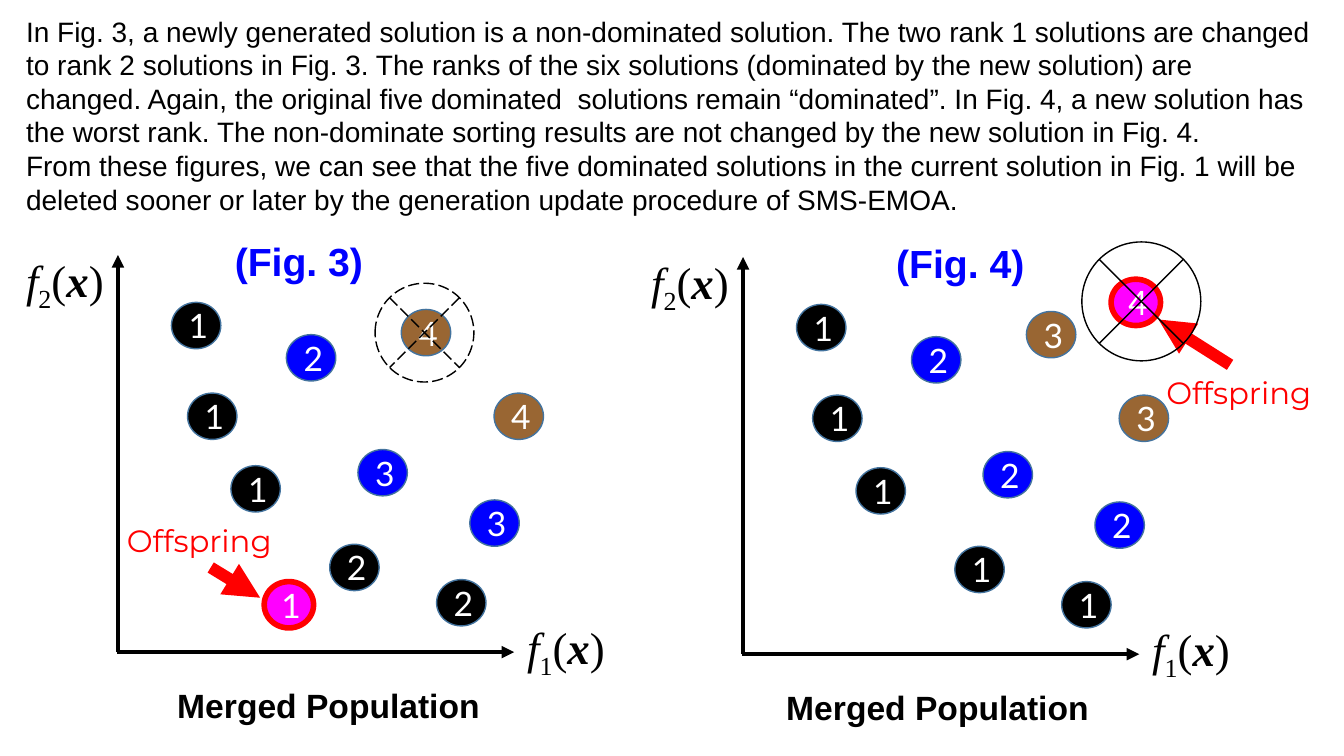
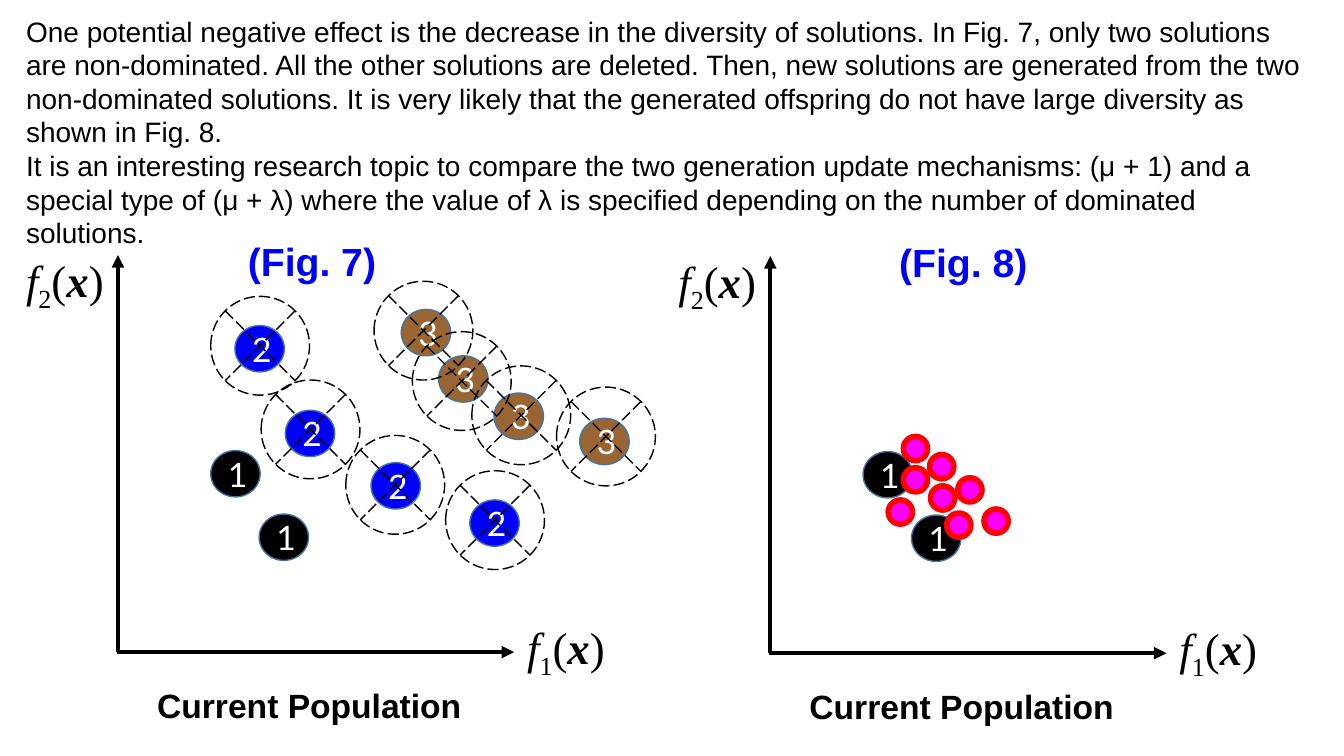
import dataclasses

import pptx
import pptx.dml.color
import pptx.enum.dml
import pptx.enum.shapes
import pptx.enum.text
import pptx.util
from pptx.util import Inches

SHAPES = pptx.enum.shapes.MSO_SHAPE


@dataclasses.dataclass(frozen=True)
class Theme:
    black: str = "000000"
    white: str = "FFFFFF"
    blue: str = "0000FF"
    brown: str = "996633"
    outline: str = "43739E"
    magenta: str = "FF00FF"
    red: str = "FF0000"
    body: str = "Arial"
    digits: str = "Lato"
    label: str = "Montserrat"
    maths: str = "Times New Roman"
    body_size: int = 20
    label_size: int = 22
    caption_size: int = 24
    figure_size: int = 28
    maths_size: int = 32


THEME = Theme()
DOT = (0.49, 0.46)
SMALL_DOT = (0.24, 0.24)
CROSS = 0.98

# Content: every figure uses the coordinates of the left-hand panel,
# and "shift" moves it to its own place. Dots are (left, top, rank).
MERGED_PLACES = {
    THEME.black: [(1.7, 3), (1.86, 3.9), (2.29, 4.62), (3.27, 5.4), (4.33, 5.75)],
    THEME.blue: [(2.84, 3.32), (3.55, 4.46), (4.66, 4.96)],
    THEME.brown: [(3.98, 3.07), (4.9, 3.9)],
}


def merged(**ranks):
    return {color: [(*place, rank) for place, rank in zip(places, ranks[name])]
            for name, (color, places) in zip(("black", "blue", "brown"),
                                             MERGED_PLACES.items())}


CURRENT_FRONT = [(2.09, 4.47, "1"), (2.57, 5.1, "1")]

SLIDES = [
    {
        "intro": [
            "In Fig. 3, a newly generated solution is a non-dominated solution. "
            "The two rank 1 solutions are changed to rank 2 solutions in Fig. 3. "
            "The ranks of the six solutions (dominated by the new solution) are "
            "changed. Again, the original five dominated  solutions remain "
            "“dominated”. In Fig. 4, a new solution has the worst rank. The "
            "non-dominate sorting results are not changed by the new solution "
            "in Fig. 4.",
            "From these figures, we can see that the five dominated solutions in "
            "the current solution in Fig. 1 will be deleted sooner or later by "
            "the generation update procedure of SMS-EMOA.",
        ],
        "figures": [
            {
                "shift": (0, 0),
                "title": ("(Fig. 3)", 2.23),
                "caption": ("Merged Population", 1.66, 3.23),
                "dots": merged(black="11122", blue="233", brown="44"),
                "offspring": (2.62, 5.77, "1"),
                "offspring_label": (1.16, 5.13),
                "arrow": (2.09, 5.63, 2.58, 5.93),
                "crosses": [(3.72, 2.81)],
            },
            {
                "shift": (6.2, 0.02),
                "title": ("(Fig. 4)", 2.59),
                "caption": ("Merged Population", 1.5, 3.23),
                "dots": merged(black="11111", blue="222", brown="33"),
                "offspring": (4.82, 2.75, "4"),
                "offspring_label": (5.27, 3.64),
                "arrow": (6, 3.6, 5.29, 3.15),
                "crosses": [(4.53, 2.38)],
                "cross_size": 1.18,
                "cross_dashed": False,
            },
        ],
    },
    {
        "intro": [
            "One potential negative effect is the decrease in the diversity of "
            "solutions. In Fig. 7, only two solutions are non-dominated. All the "
            "other solutions are deleted. Then, new solutions are generated from "
            "the two non-dominated solutions. It is very likely that the "
            "generated offspring do not have large diversity as shown in Fig. 8.",
            "It is an interesting research topic to compare the two generation "
            "update mechanisms: (μ + 1) and a special type of (μ + λ) where the "
            "value of λ is specified depending on the number of dominated "
            "solutions.",
        ],
        "figures": [
            {
                "shift": (0, 0),
                "title": ("(Fig. 7)", 2.36),
                "caption": ("Current Population", 1.46, 3.25),
                "dots": {
                    THEME.black: CURRENT_FRONT,
                    THEME.blue: [(2.33, 3.23, "2"), (2.83, 4.07, "2"),
                                 (3.68, 4.59, "2"), (4.66, 4.96, "2")],
                    THEME.brown: [(3.98, 3.07, "3"), (4.9, 3.9, "3"),
                                  (5.75, 4.15, "3"), (4.35, 3.53, "3")],
                },
                "crosses": [(2.09, 2.94), (2.59, 3.77), (3.43, 4.32), (4.42, 4.67),
                            (5.52, 3.84), (4.68, 3.63), (4.09, 3.29), (3.71, 2.79)],
            },
            {
                "shift": (6.47, 0.01),
                "title": ("(Fig. 8)", 2.35),
                "caption": ("Current Population", 1.46, 3.25),
                "dots": {THEME.black: CURRENT_FRONT},
                "small_dots": [(2.49, 4.63), (2.92, 5.08), (2.34, 4.95), (2.76, 4.81),
                               (2.49, 4.32), (2.75, 4.5), (3.03, 4.73), (3.29, 5.04)],
            },
        ],
    },
]


def rgb(color):
    return pptx.dml.color.RGBColor.from_string(color)


def write(frame, paragraphs, *, font, size, color, bold=False, align=None):
    """Fill a frame; a paragraph is a string or a list of (text, styles)."""
    for number, content in enumerate(paragraphs):
        para = frame.paragraphs[0] if number == 0 else frame.add_paragraph()
        para.alignment = align
        for text, styles in [(content, "")] if isinstance(content, str) else content:
            span = para.add_run()
            span.text = text
            span.font.name = font
            span.font.size = pptx.util.Pt(size)
            span.font.color.rgb = rgb(color)
            span.font.bold = bold or "bold" in styles
            span.font.italic = "italic" in styles
            if "sub" in styles:
                span._r.get_or_add_rPr().set("baseline", "-25000")


def add_text(page, place, paragraphs, wrap=False, **style):
    box = page.shapes.add_textbox(*map(Inches, place))
    box.text_frame.word_wrap = wrap
    box.text_frame.auto_size = pptx.enum.text.MSO_AUTO_SIZE.SHAPE_TO_FIT_TEXT
    write(box.text_frame, paragraphs, **style)


def add_arrow(page, ends, color, width):
    arrow = page.shapes.add_connector(
        pptx.enum.shapes.MSO_CONNECTOR.STRAIGHT, *map(Inches, ends))
    arrow.line.color.rgb = rgb(color)
    arrow.line.width = pptx.util.Pt(width)
    line = arrow.line._get_or_add_ln()
    line.append(line.makeelement(pptx.oxml.ns.qn("a:tailEnd"), {"type": "triangle"}))
    properties = arrow._element.spPr
    properties.append(properties.makeelement(pptx.oxml.ns.qn("a:effectLst"), {}))


def add_outlined(page, kind, place, fill, line, width):
    shape = page.shapes.add_shape(kind, *map(Inches, place))
    shape.shadow.inherit = False
    if fill:
        shape.fill.solid()
        shape.fill.fore_color.rgb = rgb(fill)
    else:
        shape.fill.background()
    shape.line.color.rgb = rgb(line)
    shape.line.width = pptx.util.Pt(width)
    return shape


def add_dot(page, place, rank, fill, line=THEME.outline, width=1):
    dot = add_outlined(page, SHAPES.OVAL, (*place, *DOT), fill, line, width)
    dot.text_frame.vertical_anchor = pptx.enum.text.MSO_ANCHOR.MIDDLE
    write(dot.text_frame, [rank], font=THEME.digits, size=THEME.caption_size,
          color=THEME.white, align=pptx.enum.text.PP_ALIGN.CENTER)


def add_figure(page, figure):
    right, down = figure["shift"]

    def at(left, top):
        return left + right, top + down

    # Axes and their labels
    add_arrow(page, (*at(1.17, 6.47), *at(1.17, 2.53)), THEME.black, 3)
    add_arrow(page, (*at(1.16, 6.47), *at(5.1, 6.47)), THEME.black, 3)
    for index, left, top in (("2", 0.16, 2.46), ("1", 5.13, 6.1)):
        formula = [("f", "italic"), (index, "sub"), ("(", ""),
                   ("x", "bold italic"), (")", "")]
        add_text(page, (*at(left, top), 1, 0.64), [formula], font=THEME.maths,
                 size=THEME.maths_size, color=THEME.black)

    # Title and caption
    title, left = figure["title"]
    add_text(page, (*at(left, 2.31), 1.49, 0.57), [title], font=THEME.body,
             size=THEME.figure_size, color=THEME.blue, bold=True)
    caption, left, width = figure["caption"]
    add_text(page, (*at(left, 6.75), width, 0.5), [caption], font=THEME.body,
             size=THEME.caption_size, color=THEME.black, bold=True)

    # Ranked solutions
    for color, dots in figure["dots"].items():
        for left, top, rank in dots:
            add_dot(page, at(left, top), rank, color)

    # Offspring
    if "offspring" in figure:
        left, top, rank = figure["offspring"]
        add_dot(page, at(left, top), rank, THEME.magenta, THEME.red, 4)
        add_text(page, (*at(*figure["offspring_label"]), 1.75, 0.47), ["Offspring"],
                 font=THEME.label, size=THEME.label_size, color=THEME.red)
        arrow = figure["arrow"]
        add_arrow(page, (*at(*arrow[:2]), *at(*arrow[2:])), THEME.red, 8.5)
    for place in figure.get("small_dots", []):
        add_outlined(page, SHAPES.OVAL, (*at(*place), *SMALL_DOT),
                     THEME.magenta, THEME.red, 4)

    # Crosses over the deleted solutions
    size = figure.get("cross_size", CROSS)
    for place in figure.get("crosses", []):
        cross = add_outlined(page, SHAPES.FLOWCHART_SUMMING_JUNCTION,
                             (*at(*place), size, size), None, THEME.black, 1)
        if figure.get("cross_dashed", True):
            cross.line.dash_style = pptx.enum.dml.MSO_LINE.LONG_DASH


deck = pptx.Presentation()
deck.slide_width, deck.slide_height = Inches(13.33), Inches(7.5)
blank = deck.slide_layouts[6]
for content in SLIDES:
    page = deck.slides.add_slide(blank)
    for figure in content["figures"]:
        add_figure(page, figure)
    add_text(page, (0.16, 0.09, 12.98, 2.12), content["intro"], wrap=True,
             font=THEME.body, size=THEME.body_size, color=THEME.black)
deck.save("out.pptx")
